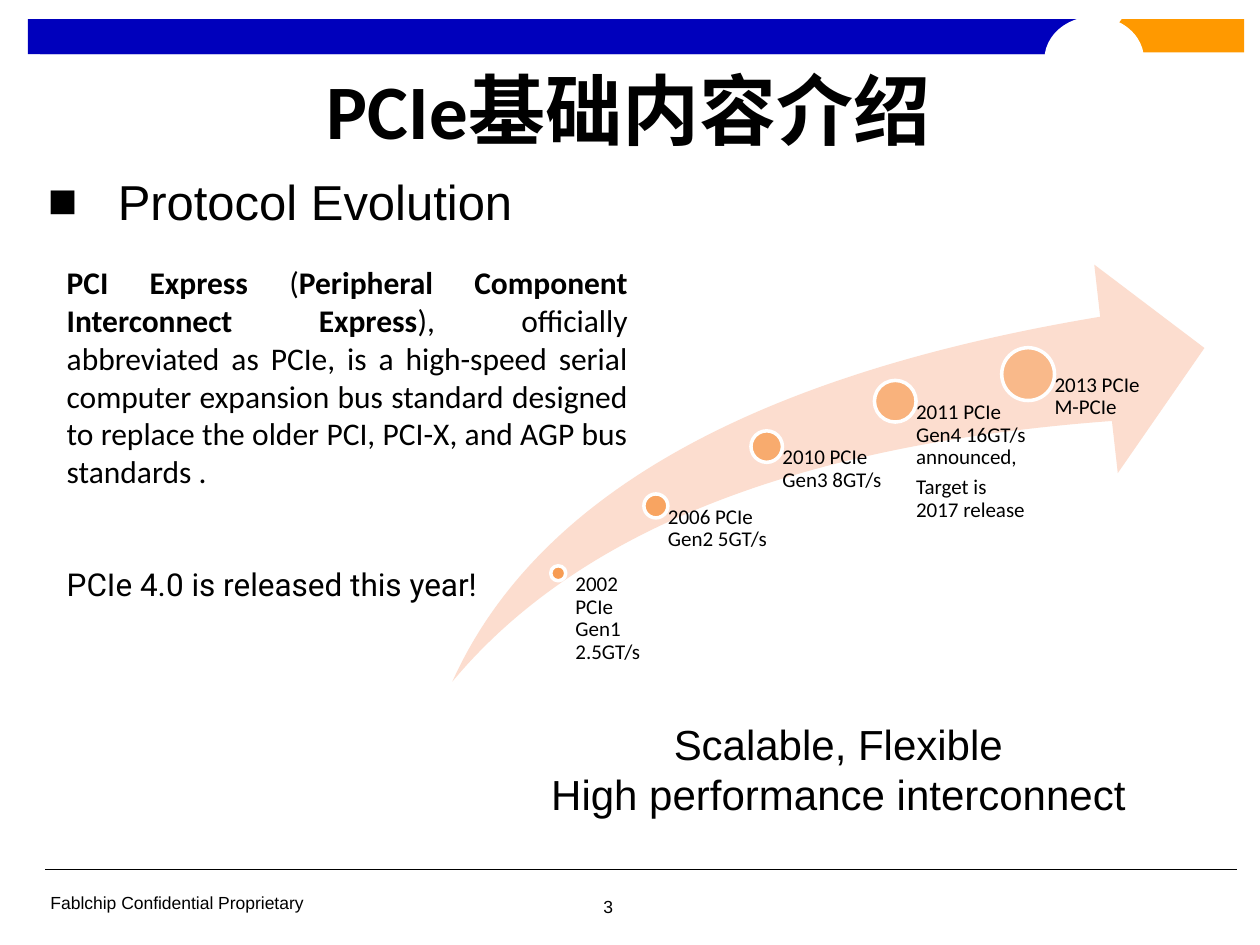
import pptx
import pptx.util
import pptx.dml.color
import pptx.enum.shapes
import pptx.enum.text
import lxml.etree
import pptx.oxml.ns

Pt = pptx.util.Pt
SHAPE = pptx.enum.shapes.MSO_SHAPE
ALIGN = pptx.enum.text.PP_ALIGN
ANCHOR = pptx.enum.text.MSO_ANCHOR
qn = pptx.oxml.ns.qn


def rgb(value):
    return pptx.dml.color.RGBColor.from_string(value)


def paint(sp, fill, alpha=100, line=None):
    sp.shadow.inherit = False
    sp.fill.solid()
    sp.fill.fore_color.rgb = rgb(fill)
    if alpha < 100:
        color = sp.fill._xPr.find(qn("a:solidFill"))[0]
        lxml.etree.SubElement(color, qn("a:alpha"), val=str(alpha * 1000))
    if line:
        sp.line.color.rgb = rgb(line)
        sp.line.width = Pt(2)
    else:
        sp.line.fill.background()


def add_text(s, box, paragraphs, size, font="Arial", align=ALIGN.LEFT,
             anchor=ANCHOR.TOP, insets=(7.2, 3.6, 7.2, 3.6), wrap=True):
    """Each paragraph is a list of (text, bold) or (text, bold, font) runs."""
    tf = s.shapes.add_textbox(*map(Pt, box)).text_frame
    tf.word_wrap = wrap
    tf.vertical_anchor = anchor
    tf.margin_left, tf.margin_top, tf.margin_right, tf.margin_bottom = map(Pt, insets)
    for i, runs in enumerate(paragraphs):
        p = tf.add_paragraph() if i else tf.paragraphs[0]
        p.alignment = align
        for text, bold, *own_font in runs:
            r = p.add_run()
            r.text = text
            r.font.size = Pt(size)
            r.font.bold = bold
            r.font.name = own_font[0] if own_font else font
            r.font.color.rgb = rgb("000000")
    return tf


def add_polygon(s, points, fill):
    builder = s.shapes.build_freeform(*points[0], scale=Pt(1))
    builder.add_line_segments(points[1:], close=True)
    paint(builder.convert_to_shape(), fill)


def header(s, x, y, w, h):
    # Two overlapping blue bars with a cut corner
    bar = 608.4
    for left in (x + 7.2, x):
        right = left + bar
        add_polygon(s, [(left, y), (left, y + h), (right, y + h),
                        (right, y + 9.4), (right - 6.5, y)], "0000BC")
    # Orange end piece
    left, right = x + 619.2, x + w
    add_polygon(s, [(left, y + 18.7), (right, y + 18.7), (right, y),
                    (left + 5.8, y), (left, y + 7.9)], "FF9900")
    # White disc between the bars
    disc = s.shapes.add_shape(SHAPE.OVAL, Pt(x + 581), Pt(y - 1.4), Pt(56.9), Pt(49))
    paint(disc, "FFFFFF")


def footer(s, x, y, w):
    line = s.shapes.add_connector(pptx.enum.shapes.MSO_CONNECTOR.STRAIGHT,
                                  Pt(x), Pt(y), Pt(x + w), Pt(y))
    line.line.color.rgb = rgb("000000")
    line.line.width = Pt(0.75)
    lxml.etree.SubElement(line._element.spPr, qn("a:effectLst"))
    add_text(s, (x + 311.8, y + 11.5, 54, 24.5), [[("3", False)]], 10)
    add_text(s, (x - 5.8, y + 9.4, 162, 19.4),
             [[("Fablchip Confidential Proprietary", False)]], 10,
             align=ALIGN.CENTER, wrap=False)


def heading(s, box):
    tf = add_text(s, box, [[("Protocol Evolution", False)]], 28)
    pPr = tf.paragraphs[0]._p.get_or_add_pPr()
    pPr.set("marL", str(Pt(40)))
    pPr.set("indent", str(-Pt(40)))
    lxml.etree.SubElement(pPr, qn("a:buFont"), typeface="Arial")
    lxml.etree.SubElement(pPr, qn("a:buChar"), char="■")


def description(s, box):
    tf = add_text(s, box, [
        [("PCI Express", True), (" (", False),
         ("Peripheral Component Interconnect Express", True),
         ("), officially abbreviated as PCIe, is a high-speed serial computer "
          "expansion bus standard designed to replace the older PCI, PCI-X, "
          "and AGP bus standards .", False)],
        [("PCIe 4.0 is released this year!", False, "Roboto")],
    ], 18, "Calibri", ALIGN.JUSTIFY)
    tf.paragraphs[1].space_before = Pt(43)


def timeline(s, x, y, w, h):
    arrow = s.shapes.add_shape(SHAPE.SWOOSH_ARROW, Pt(x), Pt(y), Pt(w), Pt(h))
    arrow.adjustments[0] = arrow.adjustments[1] = 0.25
    paint(arrow, "FCDDCF")
    # Centre x, centre y, diameter, label shift, label width, label lines
    milestones = [
        (60.5, 176.4, 8.6, 5.5, 49.7, ["2002 PCIe Gen1 2.5GT/s"]),
        (116.3, 137.9, 13.7, 0, 63.4, ["2006 PCIe Gen2 5GT/s"]),
        (179.6, 104, 18, 0, 73.4, ["2010 PCIe Gen3 8GT/s"]),
        (253.1, 78.1, 23.8, 0, 76.3,
         ["2011 PCIe Gen4 16GT/s announced,", "Target is 2017 release"]),
        (329, 62.6, 30.2, 0, 76.3, ["2013 PCIe M-PCIe"]),
    ]
    for i, (cx, cy, d, shift, width, lines) in enumerate(milestones):
        dot = s.shapes.add_shape(SHAPE.OVAL, Pt(x + cx - d / 2), Pt(y + cy - d / 2),
                                 Pt(d), Pt(d))
        paint(dot, "F79646", 90 - 10 * i, "FFFFFF")
        tf = add_text(s, (x + cx + shift, y + cy, width, h - cy),
                      [[(text, False)] for text in lines], 12, "Calibri",
                      insets=(d / 2, 0, 0, 0))
        for p in tf.paragraphs:
            p.line_spacing = 0.9
            p.space_after = Pt(4.2)


def main():
    prs = pptx.Presentation()
    prs.slide_width, prs.slide_height = Pt(720), Pt(540)
    s = prs.slides.add_slide(prs.slide_layouts[6])
    header(s, 15.8, 10.8, 695.5, 20.2)
    footer(s, 25.9, 496.8, 681.1)
    timeline(s, 258.5, 151.2, 429.8, 238.3)
    # Title
    add_text(s, (35.3, 25.9, 648, 72.7), [[("PCIe基础内容介绍", True)]], 44,
             "Calibri", ALIGN.CENTER, ANCHOR.MIDDLE)
    description(s, (31, 146.9, 334.8, 201.6))
    # Summary
    add_text(s, (275, 406.8, 408.2, 65.5),
             [[("Scalable, Flexible", False)],
              [("High performance interconnect", False)]], 24, align=ALIGN.CENTER)
    heading(s, (20.2, 94.3, 351.4, 41))
    prs.save("out.pptx")


if __name__ == "__main__":
    main()
